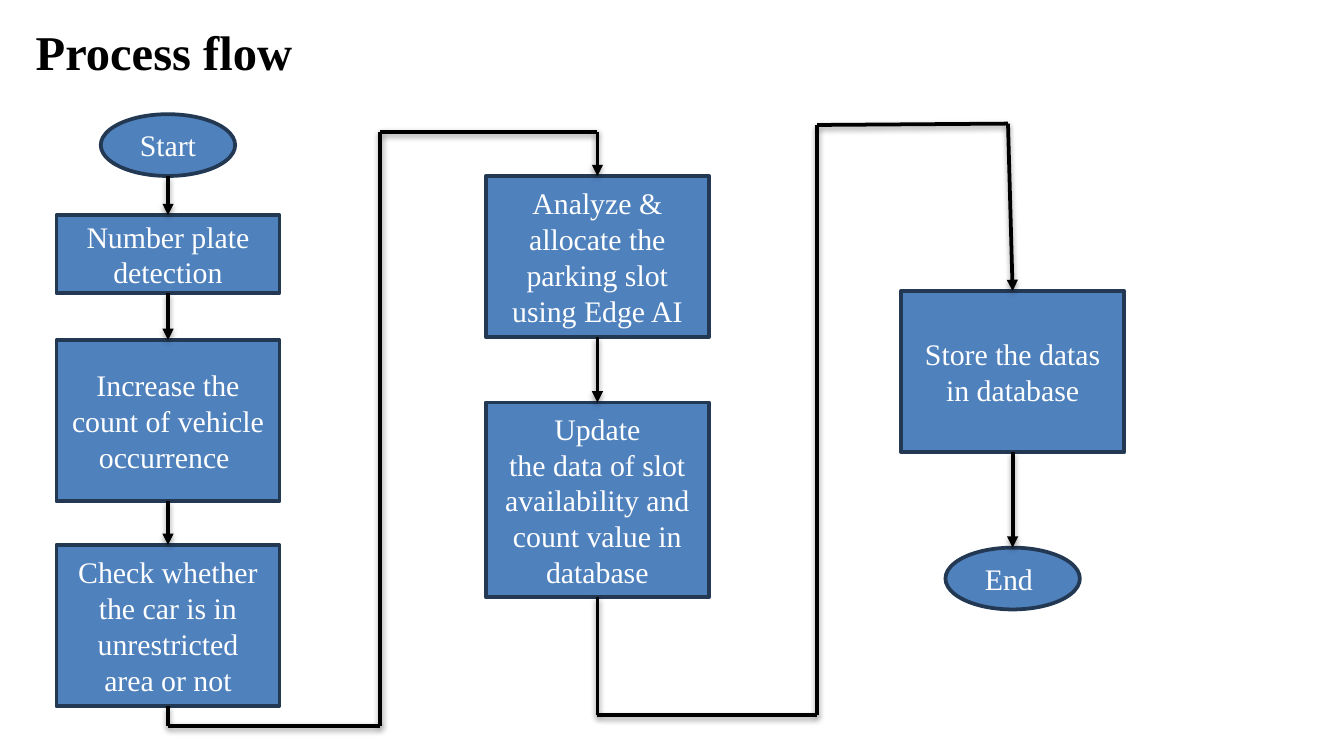
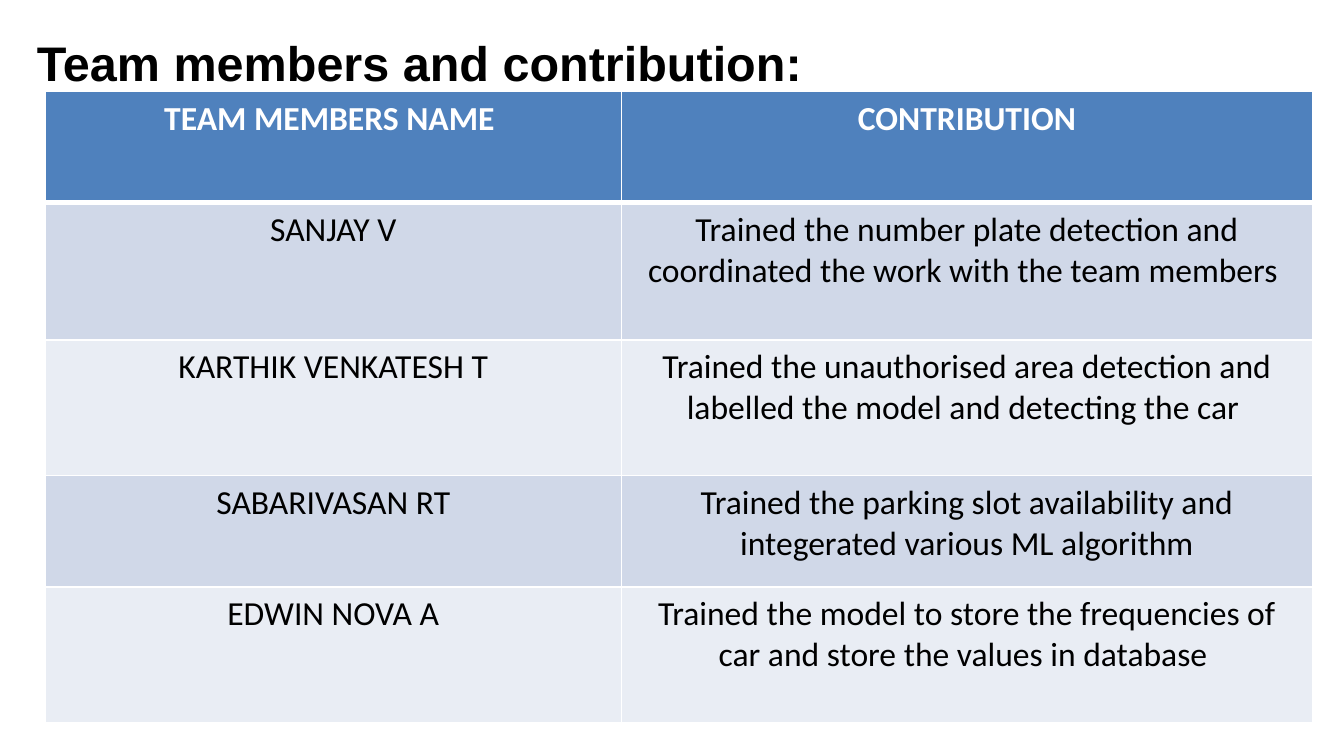
from lxml.etree import SubElement
from pptx import Presentation
from pptx.dml.color import RGBColor
from pptx.enum.shapes import MSO_CONNECTOR, MSO_SHAPE
from pptx.enum.text import MSO_ANCHOR, MSO_AUTO_SIZE, PP_ALIGN
from pptx.oxml.ns import qn
from pptx.util import Pt

PX = 4572  # 200 px to the inch
SLIDE_WIDTH, SLIDE_HEIGHT = 2000, 1125
TITLE_ONLY_LAYOUT = 5

BLACK = RGBColor(0x00, 0x00, 0x00)
WHITE = RGBColor(0xFF, 0xFF, 0xFF)
BLUE = RGBColor(0x4F, 0x81, 0xBD)
NAVY = RGBColor(0x23, 0x39, 0x53)
BAND_COLOURS = [RGBColor(0xD0, 0xD8, 0xE8), RGBColor(0xE9, 0xED, 0xF4)]

TOP, BOTTOM = 0, 2
BOX_WIDTH = 332
OVAL_WIDTH, OVAL_HEIGHT = 200, 92

# Column centre, then (text, top, height) of its steps
FLOW_COLUMNS = [
    (166, [("Start", 0, OVAL_HEIGHT),
           ("Number plate detection", 150, 116),
           ("Increase the count of vehicle occurrence ", 336, 240),
           ("Check whether the car is in unrestricted area or not", 641, 240)]),
    (805, [("Analyze & allocate the parking slot using Edge AI", 92, 240),
           ("Update\nthe data of slot availability and count value in database", 429, 290)]),
    (1423, [("Store the datas in database", 263, 240),
            ("End ", 645, OVAL_HEIGHT)]),
]
# Corners of the route from the foot of each column to the head of the next
DETOURS = [
    [(166, 910), (482, 910), (482, 26), (805, 26)],
    [(805, 894), (1132, 894), (1132, 16), (1416, 14)],
]

COLUMN_WIDTHS = [858, 1028]
ROW_HEIGHTS = [166, 204, 202, 166, 202]
HEADER_BORDERS = {"a:lnL": 1, "a:lnR": 1, "a:lnT": 1, "a:lnB": 3}
CONTRIBUTIONS = [
    ("TEAM MEMBERS NAME ", "CONTRIBUTION"),
    ("SANJAY V", "Trained the number plate detection and coordinated the work with the team members "),
    ("KARTHIK VENKATESH T", "Trained the unauthorised area detection and labelled the model and detecting the car "),
    ("SABARIVASAN RT", "Trained the parking slot availability and integerated various ML algorithm"),
    ("EDWIN NOVA A", "Trained the model to store the frequencies of\ncar and store the values in database "),
]


def px(*lengths):
    return [length * PX for length in lengths]


def format_text(text_frame, font_name, size, colour, alignment, bold=False):
    for paragraph in text_frame.paragraphs:
        paragraph.alignment = alignment
        for run in paragraph.runs:
            run.font.name = font_name
            run.font.size = Pt(size)
            run.font.bold = bold
            run.font.color.rgb = colour


def add_titled_slide(presentation, title_text, font_name, left, top, width, height):
    slide = presentation.slides.add_slide(presentation.slide_layouts[TITLE_ONLY_LAYOUT])
    title = slide.shapes.title
    title.left, title.top, title.width, title.height = px(left, top, width, height)
    text_frame = title.text_frame
    text_frame.text = title_text
    text_frame.word_wrap = True
    text_frame.auto_size = MSO_AUTO_SIZE.SHAPE_TO_FIT_TEXT
    text_frame.vertical_anchor = MSO_ANCHOR.TOP
    text_frame.margin_right = text_frame.margin_bottom = 0
    text_frame.margin_left = text_frame.margin_top = 3 * PX
    text_frame.paragraphs[0].space_before = Pt(1.1)
    format_text(text_frame, font_name, 26, BLACK, PP_ALIGN.LEFT, bold=True)
    return slide


def add_step(slide, text, centre, top, height):
    """Draw one step: an oval at the ends of the process, otherwise a box."""
    is_oval = height == OVAL_HEIGHT
    width = OVAL_WIDTH if is_oval else BOX_WIDTH
    kind = MSO_SHAPE.OVAL if is_oval else MSO_SHAPE.RECTANGLE
    shape = slide.shapes.add_shape(kind, *px(centre - width // 2, top, width, height))
    shape.shadow.inherit = False
    shape.fill.solid()
    shape.fill.fore_color.rgb = BLUE
    shape.line.color.rgb = NAVY
    shape.line.width = Pt(2)
    text_frame = shape.text_frame
    text_frame.text = text
    text_frame.word_wrap = True
    text_frame.vertical_anchor = MSO_ANCHOR.MIDDLE
    format_text(text_frame, "Times New Roman", 16, WHITE, PP_ALIGN.CENTER)
    return shape


def add_line(slide, start, end):
    """Draw a black line with a soft shadow between two points in EMU."""
    connector = slide.shapes.add_connector(MSO_CONNECTOR.STRAIGHT, *start, *end)
    connector.line.color.rgb = BLACK
    connector.line.width = Pt(2)
    effects = SubElement(connector._element.spPr, qn("a:effectLst"))
    shadow = SubElement(effects, qn("a:outerShdw"), blurRad="40000", dist="20000",
                        dir="5400000", rotWithShape="0")
    colour = SubElement(shadow, qn("a:srgbClr"), val=str(BLACK))
    SubElement(colour, qn("a:alpha"), val="38000")
    return connector


def add_route(slide, source, target, corners=()):
    """Lead an arrow from the foot of source through corners to the head of target."""
    foot = (source.left + source.width // 2, source.top + source.height)
    head = (target.left + target.width // 2, target.top)
    points = [foot, *corners, head]
    lines = [add_line(slide, start, end) for start, end in zip(points, points[1:])]
    if source.auto_shape_type == MSO_SHAPE.RECTANGLE:
        lines[0].begin_connect(source, BOTTOM)
    lines[-1].end_connect(target, TOP)
    SubElement(lines[-1].line._get_or_add_ln(), qn("a:tailEnd"), type="triangle")


def add_flowchart(slide, left, top):
    columns = [[add_step(slide, text, left + centre, top + step_top, height)
                for text, step_top, height in steps]
               for centre, steps in FLOW_COLUMNS]
    for steps in columns:
        for source, target in zip(steps, steps[1:]):
            add_route(slide, source, target)
    for steps, next_steps, detour in zip(columns, columns[1:], DETOURS):
        corners = [px(left + x, top + y) for x, y in detour]
        add_route(slide, steps[-1], next_steps[0], corners)


def add_header_borders(cell):
    properties = cell._tc.get_or_add_tcPr()
    for tag, width in HEADER_BORDERS.items():
        border = SubElement(properties, qn(tag), w=str(Pt(width)))
        fill = SubElement(border, qn("a:solidFill"))
        SubElement(fill, qn("a:srgbClr"), val=str(WHITE))


def add_contribution_table(slide, left, top):
    size = (sum(COLUMN_WIDTHS), sum(ROW_HEIGHTS))
    table = slide.shapes.add_table(len(ROW_HEIGHTS), len(COLUMN_WIDTHS),
                                   *px(left, top, *size)).table
    for column, width in zip(table.columns, COLUMN_WIDTHS):
        column.width = width * PX
    for index, (row, height, texts) in enumerate(zip(table.rows, ROW_HEIGHTS, CONTRIBUTIONS)):
        row.height = height * PX
        is_header = index == 0
        for cell, text in zip(row.cells, texts):
            cell.text = text
            if is_header:
                add_header_borders(cell)
            cell.fill.solid()
            cell.fill.fore_color.rgb = BLUE if is_header else BAND_COLOURS[(index - 1) % 2]
            format_text(cell.text_frame, "Calibri", 18, WHITE if is_header else BLACK,
                        PP_ALIGN.CENTER, bold=is_header)


def main():
    presentation = Presentation()
    presentation.slide_width, presentation.slide_height = px(SLIDE_WIDTH, SLIDE_HEIGHT)

    flow_slide = add_titled_slide(presentation, "Process flow", "Times New Roman",
                                  50, 30, 442, 92)
    add_flowchart(flow_slide, 84, 170)

    team_slide = add_titled_slide(presentation, "Team members and contribution:", "Arial",
                                  52, 46, 1150, 90)
    add_contribution_table(team_slide, 67, 136)

    presentation.save("out.pptx")


if __name__ == "__main__":
    main()
